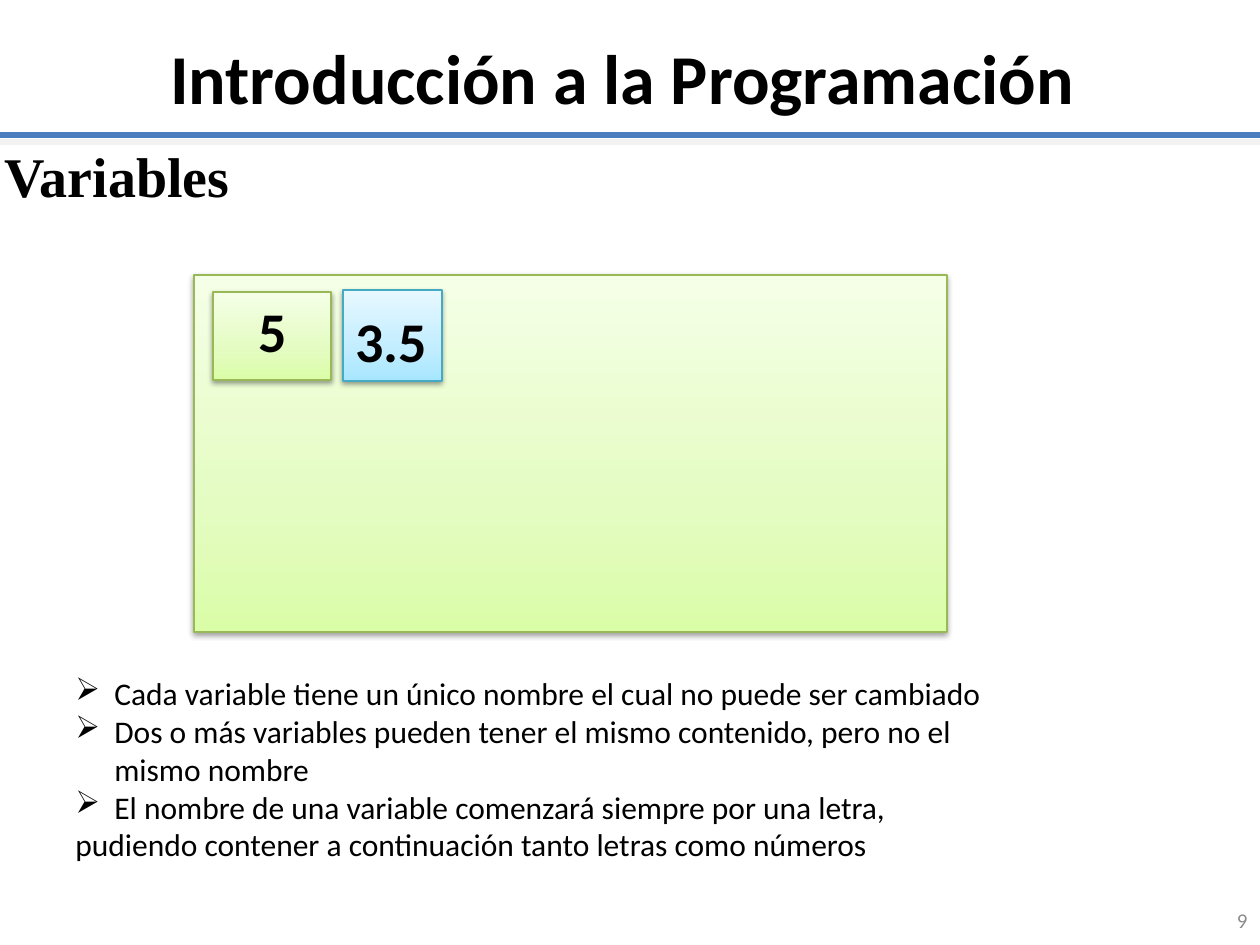
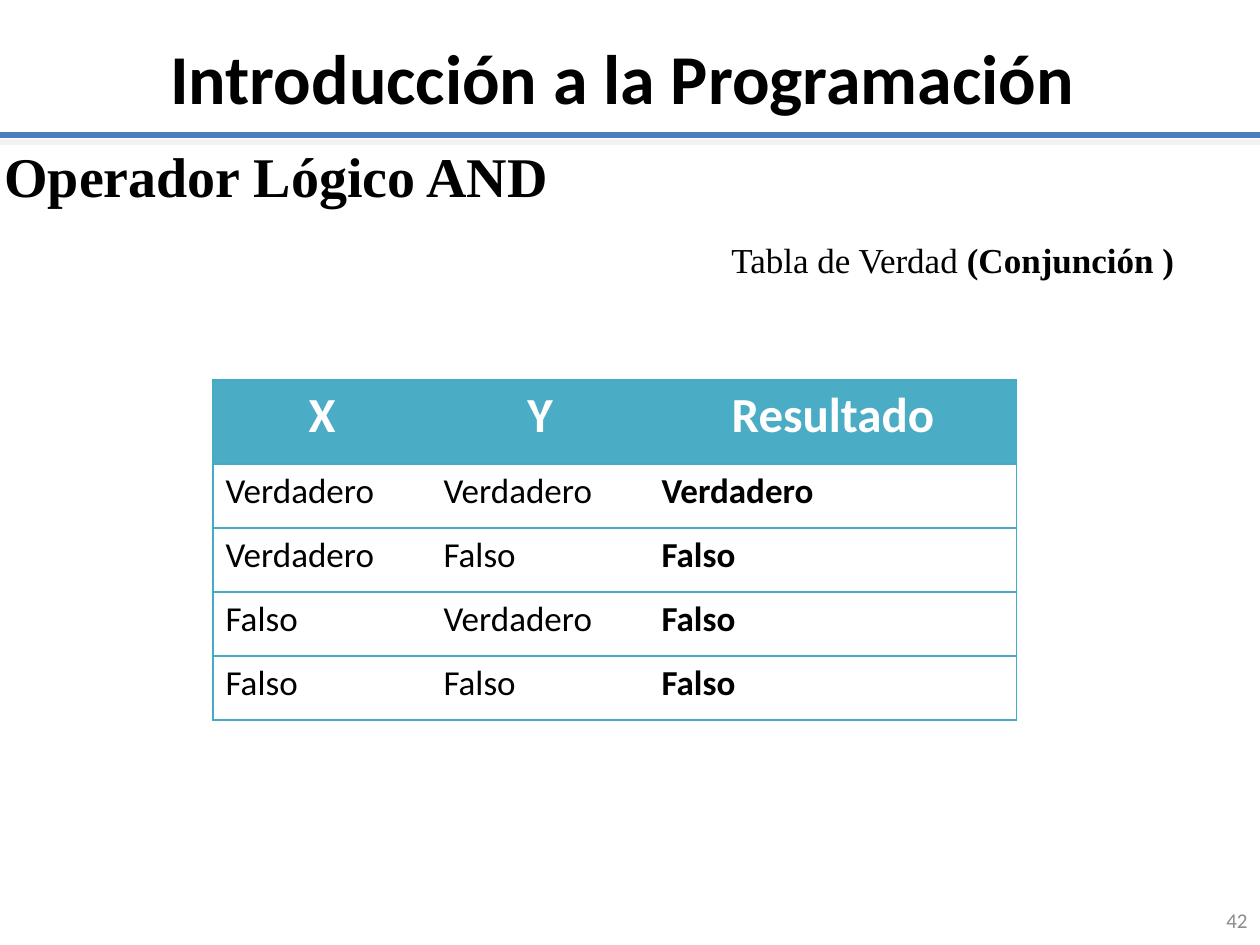
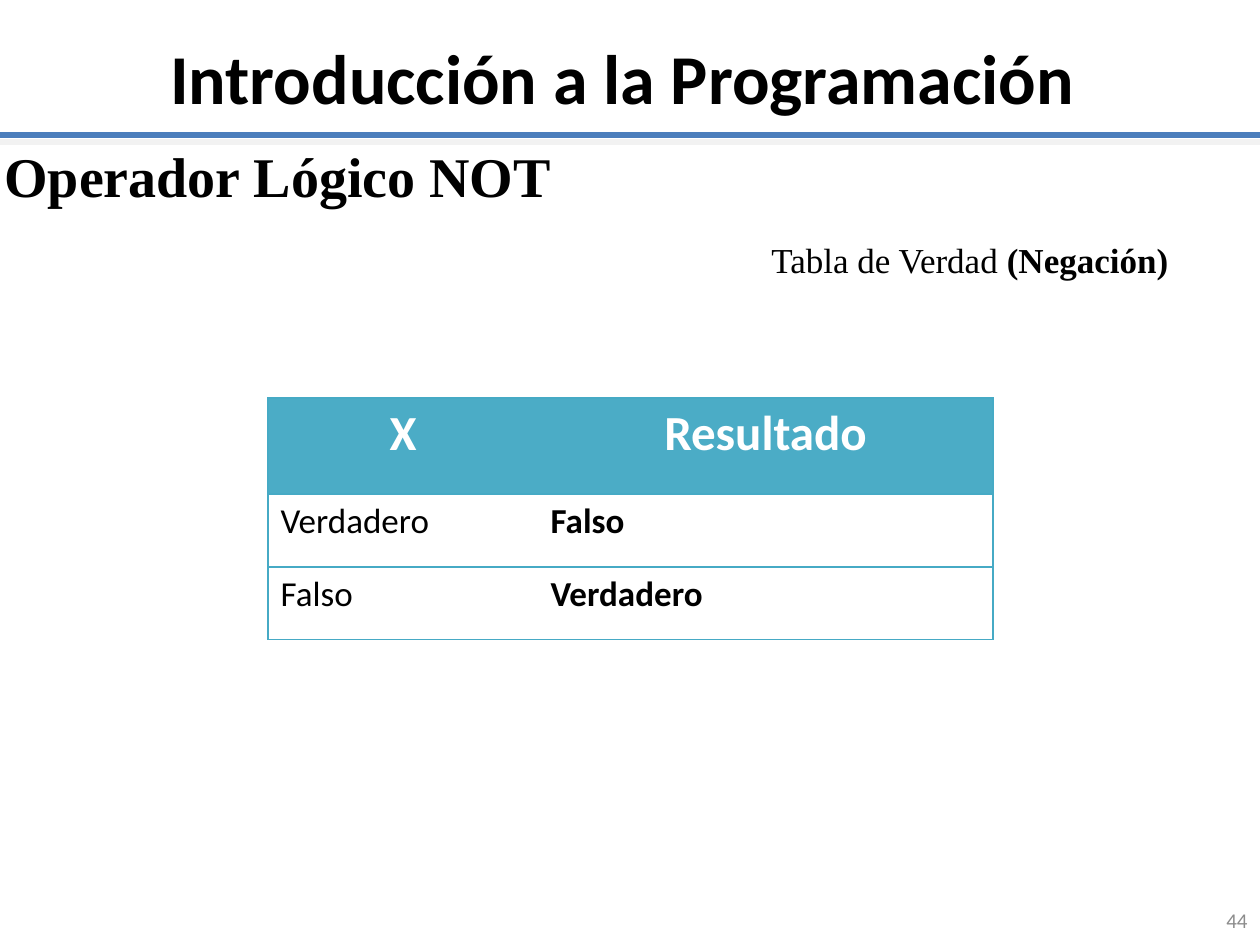
from copy import deepcopy
from dataclasses import dataclass

from pptx import Presentation
from pptx import util as u
from pptx.dml.color import RGBColor
from pptx.enum import shapes, text
from pptx.oxml import parse_xml
from pptx.oxml.ns import nsdecls, qn

SCALE = u.Inches(1) / 126  # EMU per px
AL = text.PP_ALIGN


@dataclass(frozen=True)
class Theme:
    sans: str = "Calibri"
    serif: str = "Times New Roman"
    ink: str = "000000"
    white: str = "FFFFFF"
    muted: str = "8C8C8C"
    rule: str = "4B7EBC"
    rule_shadow: str = "F2F2F2"
    header: str = "4BACC6"
    border: str = "46AAC5"
    green_line: str = "98B955"
    green: tuple = ("DAFDA7", "E4FCC2", "F5FFE7")
    blue: tuple = ("A7E6FF", "C1EDFF", "E7F8FF")
    stops: tuple = (0, 0.35, 1)
    title: int = 40
    heading: int = 32
    column: int = 28
    body: int = 20
    bullet: int = 18
    number: int = 12


T = Theme()
PLAIN_TABLE = "{2D5ABB26-0587-4C30-8999-92F81FD0307C}"


def px(n):
    return u.Emu(round(n * SCALE))


def rgb(value):
    return RGBColor.from_string(value)


# Shared helpers
def add_runs(p, runs, size, font=T.sans, color=T.ink, align=None):
    """Fill a paragraph with (wording, bold) runs."""
    p.alignment = align
    for wording, bold in runs:
        r = p.add_run()
        r.text = wording
        for name, value in {"size": u.Pt(size), "name": font, "bold": bold}.items():
            setattr(r.font, name, value)
        r.font.color.rgb = rgb(color)


def add_text(s, box, paragraphs, size, frame=None, **style):
    tf = s.shapes.add_textbox(*map(px, box)).text_frame
    settings = {"word_wrap": True, "auto_size": text.MSO_AUTO_SIZE.SHAPE_TO_FIT_TEXT}
    for name, value in (settings | (frame or {})).items():
        setattr(tf, name, value)
    for i, runs in enumerate(paragraphs):
        p = tf.add_paragraph() if i else tf.paragraphs[0]
        add_runs(p, runs, size, **style)
    return tf


def add_shadow(sp, color, alpha, blur, dist, angle):
    spPr = sp.element.spPr
    for old in spPr.findall(qn("a:effectLst")):
        spPr.remove(old)
    spPr.append(parse_xml(
        f'<a:effectLst {nsdecls("a")}><a:outerShdw blurRad="{u.Pt(blur)}" '
        f'dist="{u.Pt(dist)}" dir="{angle * 60000}" rotWithShape="0">'
        f'<a:srgbClr val="{color}"><a:alpha val="{alpha * 1000}"/></a:srgbClr>'
        f'</a:outerShdw></a:effectLst>'))


# Title, rule, page number and heading
def add_page(prs, heading, number):
    s = prs.slides.add_slide(prs.slide_layouts[6])
    rule = s.shapes.add_connector(
        shapes.MSO_CONNECTOR.STRAIGHT, *map(px, (0, 135, 1260, 135)))
    rule.line.color.rgb = rgb(T.rule)
    rule.line.width = u.Pt(3)
    add_shadow(rule, T.rule_shadow, 100, 0, 4, 94)

    fixed = {"auto_size": text.MSO_AUTO_SIZE.NONE,
             "vertical_anchor": text.MSO_ANCHOR.MIDDLE}
    add_text(s, (0, -2, 1260, 157), [[("Introducción a la Programación ", True)]],
             T.title, fixed, align=AL.CENTER)
    add_text(s, (966, 895, 294, 50), [[(str(number), False)]],
             T.number, fixed, color=T.muted, align=AL.RIGHT)
    add_text(s, (-8, 135, 1198, 81), [[(heading, True)]],
             T.heading, font=T.serif, align=AL.JUSTIFY)
    return s


# Memory block with its stored values
def add_block(s, box, colors, line):
    sp = s.shapes.add_shape(shapes.MSO_SHAPE.RECTANGLE, *map(px, box))
    sp.fill.gradient()
    stops = sp.element.find(".//" + qn("a:gsLst"))
    stops.insert(1, deepcopy(stops[0]))
    for stop, color, position in zip(sp.fill.gradient_stops, colors, T.stops):
        stop.color.rgb = rgb(color)
        stop.position = position
    sp.fill.gradient_angle = 90
    sp.line.color.rgb = rgb(line)
    sp.line.width = u.Pt(0.75)
    add_shadow(sp, T.ink, 38, 3.1, 1.6, 90)


def add_memory(s, box):
    x, y = box[:2]
    add_block(s, box, T.green, T.green_line)
    variables = [
        ("5", (19, 17, 118, 88), (52, 15, 54, 81), T.green, T.green_line),
        ("3.5", (149, 15, 99, 91), (149, 25, 98, 81), T.blue, T.border),
    ]
    for value, cell, label, colors, line in variables:
        add_block(s, (x + cell[0], y + cell[1], *cell[2:]), colors, line)
        add_text(s, (x + label[0], y + label[1], *label[2:]), [[(value, True)]],
                 T.heading, {"word_wrap": False})


def add_rules(s, box, bulleted, closing):
    lines = [*bulleted, closing]
    tf = add_text(s, box, [[(line, False)] for line in lines], T.bullet)
    for p in tf.paragraphs[:len(bulleted)]:
        pPr = p._p.get_or_add_pPr()
        pPr.set("marL", str(px(39)))
        pPr.set("indent", str(-px(39)))
        pPr.append(parse_xml(f'<a:buChar {nsdecls("a")} char="➢"/>'))


# Truth table
def add_borders(cell, sides):
    tcPr = cell._tc.get_or_add_tcPr()
    for side in sides:
        tcPr.append(parse_xml(
            f'<a:ln{side} {nsdecls("a")} w="{u.Pt(0.75)}"><a:solidFill>'
            f'<a:srgbClr val="{T.border}"/></a:solidFill></a:ln{side}>'))


def add_truth_table(s, origin, widths, head_height, row_height, rows):
    heights = [head_height] + [row_height] * (len(rows) - 1)
    frame = s.shapes.add_table(len(rows), len(widths),
                               *map(px, (*origin, sum(widths), sum(heights))))
    table = frame.table
    table.first_row = table.horz_banding = False
    frame.element.find(".//" + qn("a:tableStyleId")).text = PLAIN_TABLE
    for column, width in zip(table.columns, widths):
        column.width = px(width)
    last = len(widths) - 1
    for i, (row, height) in enumerate(zip(rows, heights)):
        table.rows[i].height = px(height)
        for j, wording in enumerate(row):
            cell = table.cell(i, j)
            add_borders(cell, "L" * (j == 0) + "R" * (j == last) + "TB")
            p = cell.text_frame.paragraphs[0]
            if i == 0:
                cell.fill.solid()
                cell.fill.fore_color.rgb = rgb(T.header)
                add_runs(p, [(wording, True)], T.column, color=T.white, align=AL.CENTER)
            else:
                cell.fill.background()
                add_runs(p, [(wording, j == last)], T.body)


def add_caption(s, left, name):
    add_text(s, (left, 232, 1260 - left, 55),
             [[("Tabla de Verdad ", False), (name, True)]],
             T.body, font=T.serif, align=AL.JUSTIFY)


# Slides
def variables_slide(prs):
    s = add_page(prs, "Variables", 9)
    add_memory(s, (194, 275, 753, 357))
    add_rules(s, (63, 668, 993, 204), [
        "Cada variable tiene un único nombre el cual no puede ser cambiado",
        "Dos o más variables pueden tener el mismo contenido, pero no el mismo nombre",
        "El nombre de una variable comenzará siempre por una letra,",
    ], "pudiendo contener a continuación tanto letras como números")


def operator_slide(prs, operator, number, caption, table):
    s = add_page(prs, f"Operador Lógico {operator}", number)
    add_truth_table(s, *table)
    add_caption(s, *caption)


def main():
    prs = Presentation()
    prs.slide_width, prs.slide_height = px(1260), px(945)
    yes, no = "Verdadero", "Falso"
    variables_slide(prs)
    operator_slide(prs, "AND", 42, (719, "(Conjunción )"), (
        (213, 380), (218, 218, 368), 84, 64,
        [("X", "Y", "Resultado"), (yes, yes, yes), (yes, no, no),
         (no, yes, no), (no, no, no)]))
    operator_slide(prs, "NOT", 44, (759, "(Negación)"), (
        (268, 398), (270, 455), 96, 73,
        [("X", "Resultado"), (yes, no), (no, yes)]))
    prs.save("out.pptx")


if __name__ == "__main__":
    main()
